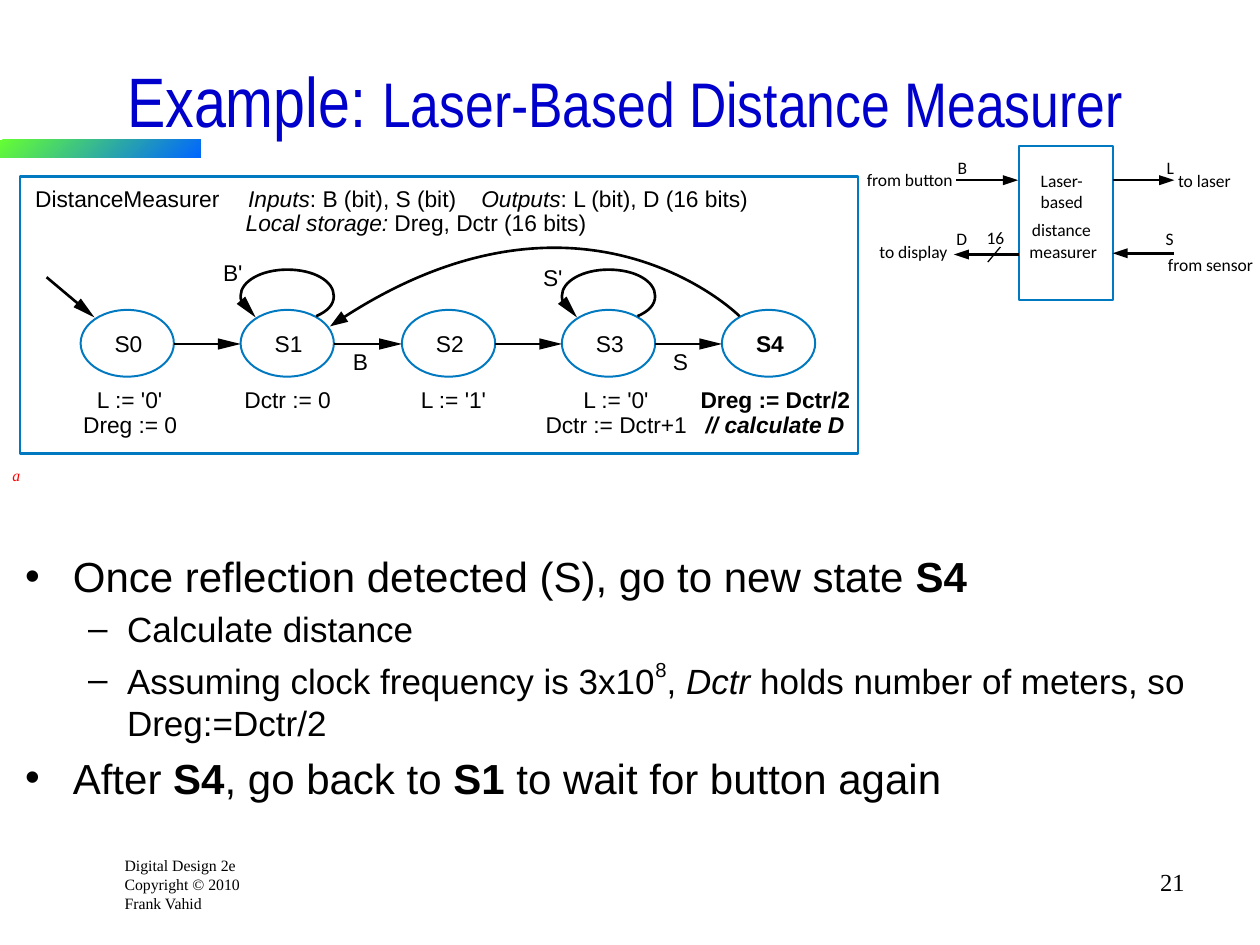
from math import hypot

from lxml.etree import SubElement
from pptx import Presentation
from pptx.dml.color import RGBColor
from pptx.enum.shapes import MSO_CONNECTOR, MSO_SHAPE
from pptx.enum.text import MSO_ANCHOR, MSO_AUTO_SIZE, PP_ALIGN
from pptx.oxml.ns import qn
from pptx.util import Inches, Pt

COLORS = {
    "black": "000000", "title": "0000CC", "outline": "0079C1",
    "red": "FF0000", "green": "66FF33", "blue": "0066FF",
}
STATE_X = [0.64, 1.91, 3.19, 4.46, 5.73]
STATE_Y, STATE_W, STATE_H = 2.46, 0.74, 0.53
FLOW_Y = 2.73


def rgb(name):
    return RGBColor.from_string(COLORS[name])


def add_runs(p, runs, font, size, color, bold=False, italic=False):
    """Fill a paragraph; a run is a string or (string, {bold, italic, size, base})."""
    for run in [runs] if isinstance(runs, str) else runs:
        text, fmt = (run, {}) if isinstance(run, str) else run
        r = p.add_run()
        r.text = text
        r.font.name, r.font.size = font, Pt(fmt.get("size", size))
        r.font.color.rgb = rgb(color)
        r.font.bold = fmt.get("bold", bold)
        r.font.italic = fmt.get("italic", italic)
        if "base" in fmt:
            r._r.get_or_add_rPr().set("baseline", str(fmt["base"] * 1000))


def add_text(slide, x, y, w, h, paras, font="Arial", size=13, color="black",
             align=PP_ALIGN.LEFT, anchor=MSO_ANCHOR.TOP, wrap=False,
             inset=False, **style):
    box = slide.shapes.add_textbox(Inches(x), Inches(y), Inches(w), Inches(h))
    tf = box.text_frame
    tf.word_wrap, tf.vertical_anchor = wrap, anchor
    if not inset:
        tf.margin_left = tf.margin_right = tf.margin_top = tf.margin_bottom = 0
        tf.auto_size = MSO_AUTO_SIZE.SHAPE_TO_FIT_TEXT
    for i, runs in enumerate(paras):
        p = tf.add_paragraph() if i else tf.paragraphs[0]
        p.alignment = align
        add_runs(p, runs, font, size, color, **style)
    return tf


def add_bullet(tf, first, level, runs):
    size, margin, indent, char = [(24, 0.38, -0.38, "•"), (20, 0.81, -0.31, "–")][level]
    p = tf.paragraphs[0] if first else tf.add_paragraph()
    p.level = level
    p.space_before = Pt(size * 0.2)
    pPr = p._p.get_or_add_pPr()
    pPr.set("marL", str(Inches(margin)))
    pPr.set("indent", str(Inches(indent)))
    SubElement(pPr, qn("a:buFont")).set("typeface", "Arial")
    SubElement(pPr, qn("a:buChar")).set("char", char)
    add_runs(p, runs, "Arial", size, "black")


def add_outline(slide, kind, x, y, w, h, width):
    sp = slide.shapes.add_shape(kind, Inches(x), Inches(y), Inches(w), Inches(h))
    sp.shadow.inherit = False
    sp.fill.background()
    sp.line.color.rgb, sp.line.width = rgb("outline"), Pt(width)


def add_line(slide, start, end, width=1.5):
    ln = slide.shapes.add_connector(MSO_CONNECTOR.STRAIGHT, *map(Inches, start + end))
    ln.line.color.rgb, ln.line.width = rgb("black"), Pt(width)
    SubElement(ln._element.spPr, qn("a:effectLst"))


def add_freeform(slide, points, closed):
    pts = [(Inches(x), Inches(y)) for x, y in points]
    fb = slide.shapes.build_freeform(*pts[0])
    fb.add_line_segments(pts[1:], close=closed)
    sp = fb.convert_to_shape()
    sp.shadow.inherit = False
    return sp


def add_curve(slide, *points):
    """Stroke a start point followed by (control, control, end) triples."""
    sp = add_freeform(slide, points, closed=False)
    sp.fill.background()
    sp.line.color.rgb, sp.line.width = rgb("black"), Pt(1.5)
    segments = list(sp._element.iter(qn("a:lnTo")))
    outline = segments[0].getparent()
    for i in range(0, len(segments), 3):
        cubic = SubElement(outline, qn("a:cubicBezTo"))
        for segment in segments[i:i + 3]:
            cubic.append(segment[0])
            outline.remove(segment)


def add_head(slide, source, tip, length=0.18, half=0.045):
    """Draw an arrowhead pointing from source to tip; return its line end."""
    dx, dy = tip[0] - source[0], tip[1] - source[1]
    dist = hypot(dx, dy)
    dx, dy = dx / dist, dy / dist
    bx, by = tip[0] - length * dx, tip[1] - length * dy
    sp = add_freeform(slide, [tip, (bx - half * dy, by + half * dx),
                              (bx + half * dy, by - half * dx)], closed=True)
    sp.fill.solid()
    sp.fill.fore_color.rgb = rgb("black")
    sp.line.fill.background()
    return bx + 0.03 * dx, by + 0.03 * dy


def add_arrow(slide, start, tip, width=1.5, **head):
    add_line(slide, start, add_head(slide, start, tip, **head), width)


def add_self_loop(slide, x):
    add_curve(slide, (x + 0.03, 2.43),
              (x + 0.01, 2.41), (x, 2.38), (x, 2.35),
              (x, 2.23), (x + 0.17, 2.14), (x + 0.37, 2.14),
              (x + 0.58, 2.14), (x + 0.74, 2.23), (x + 0.74, 2.35),
              (x + 0.74, 2.42), (x + 0.69, 2.47), (x + 0.6, 2.51))
    add_head(slide, (x, 2.38), (x + 0.12, 2.52))


def add_frame(slide):
    # Footer, gradient bar, page number, title
    add_text(slide, 0.89, 6.74, 1.12, 0.55,
             ["Digital Design 2e", "Copyright © 2010", "Frank Vahid"],
             font="Times New Roman", size=9, wrap=True, inset=True)
    bar = slide.shapes.add_shape(MSO_SHAPE.RECTANGLE, 0, Inches(1.11), Inches(1.59), Inches(0.14))
    bar.shadow.inherit = False
    bar.line.fill.background()
    bar.fill.gradient()
    bar.fill.gradient_angle = 315
    for stop, position, name in zip(bar.fill.gradient_stops, (0, 1), ("green", "blue")):
        stop.position, stop.color.rgb = position, rgb(name)
    add_text(slide, 7.42, 6.83, 2.08, 0.5, ["21"], font="Times New Roman", size=14,
             align=PP_ALIGN.RIGHT, wrap=True, inset=True)
    add_text(slide, 0.25, 0.33, 9.42, 0.92,
             [["Example: ", ("Laser-Based Distance Measurer", {"size": 36})]],
             font="Arial Narrow", size=40, color="title", align=PP_ALIGN.CENTER,
             anchor=MSO_ANCHOR.MIDDLE, wrap=True, inset=True)
    add_text(slide, 0, 3.65, 0.26, 0.25, ["a"], font="Times New Roman", size=9,
             color="red", italic=True, inset=True)


def add_body(slide):
    bold, italic = {"bold": True}, {"italic": True}
    tf = add_text(slide, 0.1, 4.32, 9.78, 2.67, [], wrap=True, inset=True)
    bullets = [
        (0, ["Once reflection detected (S), go to new state ", ("S4", bold)]),
        (1, "Calculate distance"),
        (1, ["Assuming clock frequency is 3x10", ("8", {"base": 50}), ", ", ("Dctr", italic),
             " holds number of meters, so Dreg:=Dctr/2"]),
        (0, ["After ", ("S4", bold), ", go back to ", ("S1", bold),
             " to wait for button again"]),
    ]
    for i, (level, runs) in enumerate(bullets):
        add_bullet(tf, i == 0, level, runs)


def add_state_machine(slide):
    # Frame and declarations
    italic = {"italic": True}
    add_outline(slide, MSO_SHAPE.RECTANGLE, 0.16, 1.4, 6.65, 2.2, 1.5)
    for x, y, w, runs in [
        (0.28, 1.47, 1.47, "DistanceMeasurer"),
        (1.97, 1.47, 1.66, [("Inputs", italic), ": B (bit), S (bit)"]),
        (3.82, 1.47, 2.13, [("Outputs", italic), ": L (bit), D (16 bits)"]),
        (1.95, 1.66, 2.72, [("Local storage:", italic), " Dreg, Dctr (16 bits)"]),
    ]:
        add_text(slide, x, y, w, 0.22, [runs])

    # States and transitions
    for i, x in enumerate(STATE_X):
        add_outline(slide, MSO_SHAPE.OVAL, x, STATE_Y, STATE_W, STATE_H, 1.13)
        add_text(slide, x + 0.27, 2.62, 0.22, 0.22, [f"S{i}"], bold=i == 4)
    for x, following in zip(STATE_X, STATE_X[1:]):
        add_arrow(slide, (x + STATE_W, FLOW_Y), (following, FLOW_Y))
    add_arrow(slide, (0.37, 2.2), (0.75, 2.52))
    for x in (STATE_X[1], STATE_X[3]):
        add_self_loop(slide, x)
    add_curve(slide, (5.87, 2.51), (5.87, 2.51), (4.62, 1.26), (2.68, 2.55))
    add_head(slide, (2.74, 2.51), (2.62, 2.59), length=0.14, half=0.05)

    # Conditions and actions
    for x, y, w, text in [
        (1.77, 2.05, 0.18, "B'"), (4.31, 2.09, 0.18, "S'"),
        (2.8, 2.76, 0.12, "B"), (5.34, 2.76, 0.12, "S"),
        (0.77, 3.06, 0.53, "L := '0'"), (0.66, 3.26, 0.75, "Dreg := 0"),
        (1.94, 3.06, 0.69, "Dctr := 0"), (3.34, 3.06, 0.53, "L := '1'"),
        (4.63, 3.06, 0.53, "L := '0'"), (4.33, 3.26, 1.13, "Dctr := Dctr+1"),
    ]:
        add_text(slide, x, y, w, 0.22, [text])
    add_text(slide, 5.56, 3.06, 1.19, 0.22, ["Dreg := Dctr/2"], bold=True)
    add_text(slide, 5.6, 3.26, 1.11, 0.22, ["// calculate D"], bold=True, italic=True)


def add_block_diagram(slide):
    # Block with its ports
    add_outline(slide, MSO_SHAPE.RECTANGLE, 8.09, 1.16, 0.74, 1.22, 1.13)
    for start, end, y, width in [(7.59, 8.08, 1.43, 1.5), (8.83, 9.32, 1.43, 1.5),
                                 (8.09, 7.57, 2.02, 2.25), (9.32, 8.83, 2.01, 1.5)]:
        add_arrow(slide, (start, y), (end, y), width, length=0.12, half=0.04)
    add_line(slide, (7.94, 1.96), (7.84, 2.08), 0.75)

    # Names of block and signals
    add_text(slide, 8.26, 1.35, 0.59, 0.33, ["Laser-based"], font="Calibri", size=10, wrap=True)
    for x, y, w, text in [
        (8.19, 1.74, 0.51, "distance"), (8.17, 1.91, 0.59, "measurer"),
        (7.6, 1.25, 0.09, "B"), (9.26, 1.25, 0.08, "L"),
        (7.59, 1.81, 0.1, "D"), (9.25, 1.81, 0.09, "S"), (7.83, 1.8, 0.15, "16"),
        (6.88, 1.34, 0.7, "from button"), (6.98, 1.91, 0.58, "to display"),
        (9.35, 1.35, 0.46, "to laser"), (9.27, 2.02, 0.73, "from sensor"),
    ]:
        add_text(slide, x, y, w, 0.17, [text], font="Calibri", size=10)


def main():
    prs = Presentation()
    prs.slide_width, prs.slide_height = Inches(10), Inches(7.5)
    slide = prs.slides.add_slide(prs.slide_layouts[6])
    add_frame(slide)
    add_body(slide)
    add_state_machine(slide)
    add_block_diagram(slide)
    prs.save("out.pptx")


if __name__ == "__main__":
    main()
